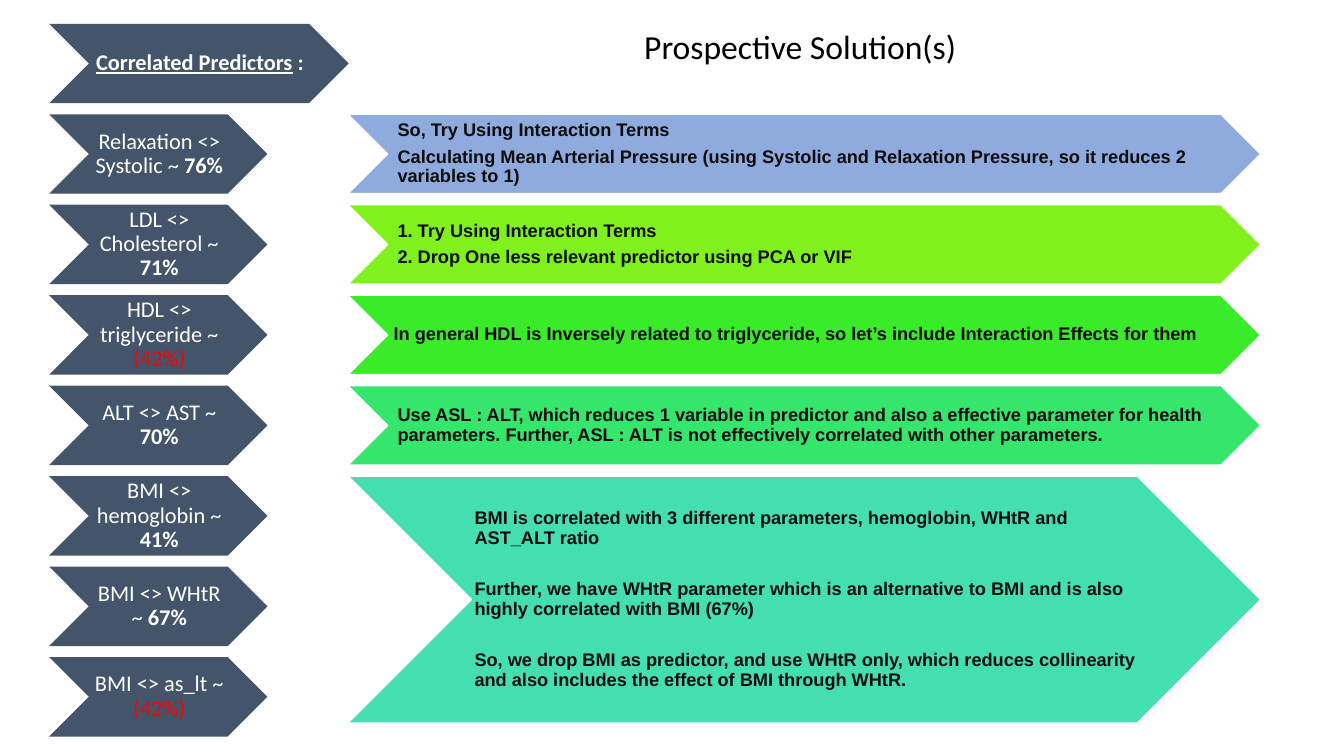
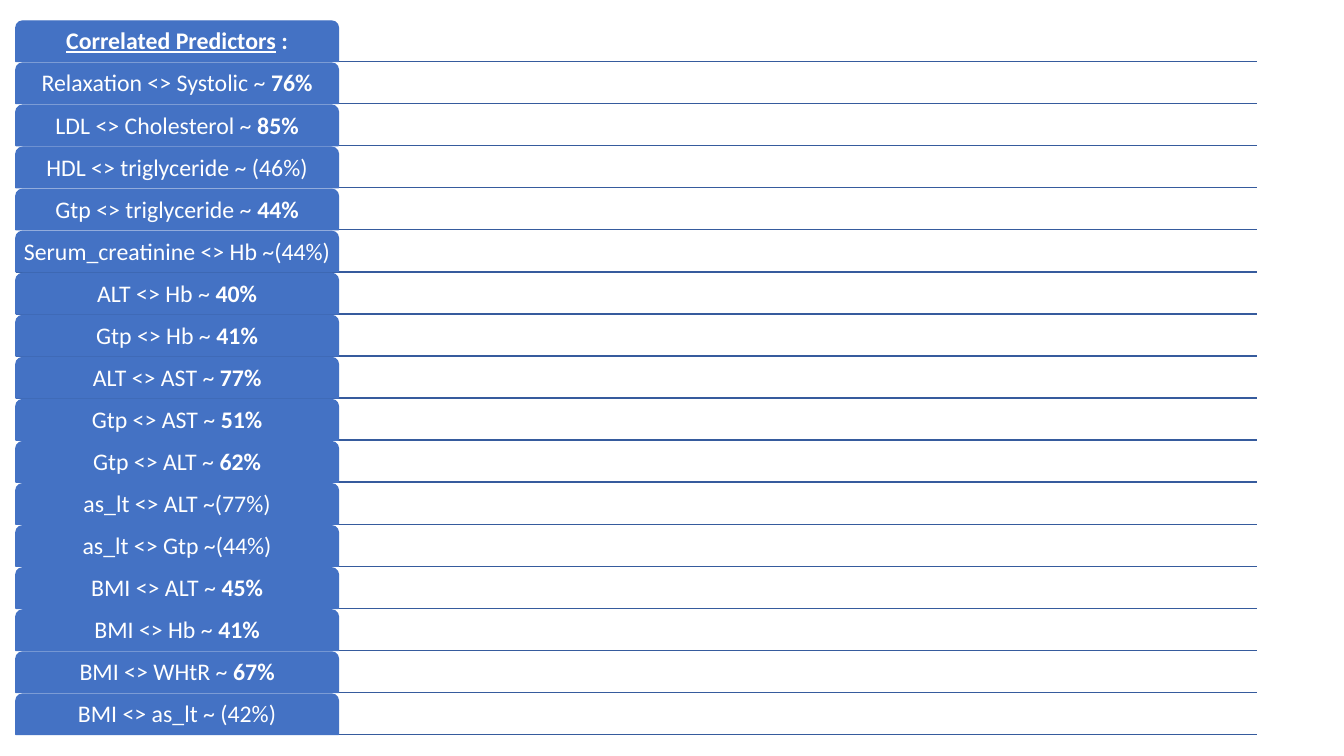
from pptx import Presentation
from pptx.dml.color import RGBColor
from pptx.enum.shapes import MSO_CONNECTOR, MSO_SHAPE
from pptx.enum.text import MSO_ANCHOR, PP_ALIGN
from pptx.oxml.ns import qn
from pptx.util import Cm, Pt
from lxml.etree import SubElement

# Colours
WHITE = RGBColor(0xFF, 0xFF, 0xFF)
BLACK = RGBColor(0x00, 0x00, 0x00)
INK = RGBColor(0x0D, 0x0D, 0x0D)
RED = RGBColor(0xFF, 0x00, 0x00)
SLATE = RGBColor(0x44, 0x54, 0x6A)
BLUE = RGBColor(0x44, 0x72, 0xC4)
NAVY = RGBColor(0x36, 0x5B, 0x9D)
SKY = RGBColor(0x8F, 0xAA, 0xDC)
LIME = RGBColor(0x80, 0xF1, 0x1C)
GREEN = RGBColor(0x39, 0xEB, 0x29)
MINT = RGBColor(0x36, 0xE5, 0x6C)
TEAL = RGBColor(0x43, 0xDF, 0xB0)

# Text formats
TITLE = {"name": "Calibri", "size": Pt(24), "bold": False, "color": BLACK}
LABEL = {"name": "Calibri", "size": Pt(16), "color": WHITE}
TAB = {**LABEL, "size": Pt(17)}
BODY = {"name": "Arial", "size": Pt(13), "bold": True, "color": INK}
BOLD = {"bold": True}
HEAD = {"bold": True, "underline": True}

# Wording
HEADING = [("Correlated Predictors", HEAD), (" :", BOLD)]
PAIRS = [
    "Relaxation <> Systolic ~ 76%",
    "LDL <> Cholesterol ~ 71%",
    "HDL <> triglyceride ~ (42%)",
    "ALT <> AST ~ 70%",
    "BMI <> hemoglobin ~ 41%",
    "BMI <> WHtR ~ 67%",
    "BMI <> as_lt ~ (42%)",
]
# Each answer: colour, left padding, space before paragraphs, paragraphs
ANSWERS = [
    (SKY, 0.25, 0, [
        "So, Try Using Interaction Terms",
        "Calculating Mean Arterial Pressure (using Systolic and Relaxation "
        "Pressure, so it reduces 2 variables to 1)"]),
    (LIME, 0.25, 0, [
        "1. Try Using Interaction Terms",
        "2. Drop One less relevant predictor using PCA or VIF"]),
    (GREEN, 0.15, 0, [
        "In general HDL is Inversely related to triglyceride, so let’s "
        "include Interaction Effects for them"]),
    (MINT, 0.25, 0, [
        "Use ASL : ALT, which reduces 1 variable in predictor and also a "
        "effective parameter for health parameters. Further, ASL : ALT is "
        "not effectively correlated with other parameters."]),
    (TEAL, 0.08, 18, [
        "BMI is correlated with 3 different parameters, hemoglobin, WHtR "
        "and AST_ALT ratio",
        "Further, we have WHtR parameter which is an alternative to BMI "
        "and is also highly correlated with BMI (67%)",
        "So, we drop BMI as predictor, and use WHtR only, which reduces "
        "collinearity and also includes the effect of BMI through WHtR."]),
]
TABS = [
    "Relaxation <> Systolic ~ 76%",
    "LDL <> Cholesterol ~ 85%",
    "HDL <> triglyceride ~ (46%)",
    "Gtp <> triglyceride ~ 44%",
    "Serum_creatinine <> Hb ~(44%)",
    "ALT <> Hb ~ 40%",
    "Gtp <> Hb ~ 41%",
    "ALT <> AST ~ 77%",
    "Gtp <> AST ~ 51%",
    "Gtp <> ALT ~ 62%",
    "as_lt <> ALT ~(77%)",
    "as_lt <> Gtp ~(44%)",
    "BMI <> ALT ~ 45%",
    "BMI <> Hb ~ 41%",
    "BMI <> WHtR ~ 67%",
    "BMI <> as_lt ~ (42%)",
]


def split(pair, minus):
    """Runs of a pair: positive values bold, bracketed ones as in minus."""
    cut = pair.index("(") if "(" in pair else pair.rindex(" ") + 1
    return [(pair[:cut], {}), (pair[cut:], minus if "(" in pair else BOLD)]


def style(font, form):
    for key, value in form.items():
        if key == "color":
            font.color.rgb = value
        else:
            setattr(font, key, value)


def write(shape, paras, form, align, pads, gap=0):
    """Fill a shape with paragraphs, each a list of (text, format) runs."""
    frame = shape.text_frame
    left, top, right, base = (Cm(pad) for pad in pads)
    setup = {"word_wrap": True, "vertical_anchor": MSO_ANCHOR.MIDDLE,
             "margin_left": left, "margin_top": top,
             "margin_right": right, "margin_bottom": base}
    for key, value in setup.items():
        setattr(frame, key, value)
    for i, runs in enumerate(paras):
        para = frame.add_paragraph() if i else frame.paragraphs[0]
        layout = {"alignment": align, "line_spacing": 0.9,
                  "space_before": Pt(gap if i else 0),
                  "space_after": form["size"] * 0.35}
        for key, value in layout.items():
            setattr(para, key, int(value) if key == "space_after" else value)
        for text, extra in runs:
            run = para.add_run()
            run.text = text
            style(run.font, {**form, **extra})


def block(slide, kind, box, fill, line=None):
    shape = slide.shapes.add_shape(kind, *(Cm(v) for v in box))
    shape.shadow.inherit = False
    shape.fill.solid()
    shape.fill.fore_color.rgb = fill
    if line is None:
        shape.line.fill.background()
    else:
        shape.line.color.rgb = line
        shape.line.width = Pt(1)
    return shape


def rule(slide, left, right, y):
    line = slide.shapes.add_connector(
        MSO_CONNECTOR.STRAIGHT, Cm(left), Cm(y), Cm(right), Cm(y))
    line.line.color.rgb = NAVY
    line.line.width = Pt(1)
    SubElement(line._element.spPr, qn("a:effectLst"))


def title(slide, text, box):
    shape = slide.shapes.title
    for key, value in zip(("left", "top", "width", "height"), box):
        setattr(shape, key, Cm(value))
    write(shape, [[(text, {})]], TITLE, PP_ALIGN.CENTER,
          (0.25, 0.13, 0.25, 0.13))


def labels(slide, left, top, step, high):
    """Column of predictor pairs under a wider heading."""
    rows = [HEADING] + [split(pair, {"color": RED}) for pair in PAIRS]
    for i, runs in enumerate(rows):
        box = (left, top + i * step, 5.5 if i else 7.55, high)
        shape = block(slide, MSO_SHAPE.CHEVRON, box, SLATE)
        write(shape, [runs], LABEL, PP_ALIGN.CENTER, (0.05, 0.03, 0, 0.03))


def bands(slide, left, top, step, high):
    """Answer bands; the last one covers the remaining rows."""
    for i, (fill, pad, gap, paras) in enumerate(ANSWERS):
        tall = 6.22 if i == len(ANSWERS) - 1 else high
        box = (left, top + i * step, 23, tall)
        shape = block(slide, MSO_SHAPE.CHEVRON, box, fill, WHITE)
        write(shape, [[(text, {})] for text in paras], BODY, PP_ALIGN.LEFT,
              (pad, 0.03, 0, 0.03), gap)


def tabs(slide, left, top, right, step, high):
    """Stack of tabs, each standing on a long rule."""
    rows = [HEADING] + [split(pair, {}) for pair in TABS]
    for i in range(len(rows)):
        rule(slide, left, right, top + i * step + high)
    for i, runs in enumerate(rows):
        box = (left, top + i * step, 8.13, high)
        shape = block(slide, MSO_SHAPE.ROUND_2_SAME_RECTANGLE, box,
                      BLUE, BLUE)
        write(shape, [runs], TAB, PP_ALIGN.CENTER, (0.1,) * 4)


def main():
    deck = Presentation()
    deck.slide_width, deck.slide_height = Cm(33.87), Cm(19.05)

    # Predictors and solutions
    slide = deck.slides.add_slide(deck.slide_layouts[5])
    top, step, high = 0.6, 2.28, 2
    title(slide, "Prospective Solution(s)", (12.95, 0.6, 14.43, 1.27))
    labels(slide, 1.24, top, step, high)
    bands(slide, 8.77, top + step, step, high)

    # Full list of correlations
    slide = deck.slides.add_slide(deck.slide_layouts[6])
    tabs(slide, 0.4, 0.53, 31.67, 1.06, 1.02)

    deck.save("out.pptx")


if __name__ == "__main__":
    main()
